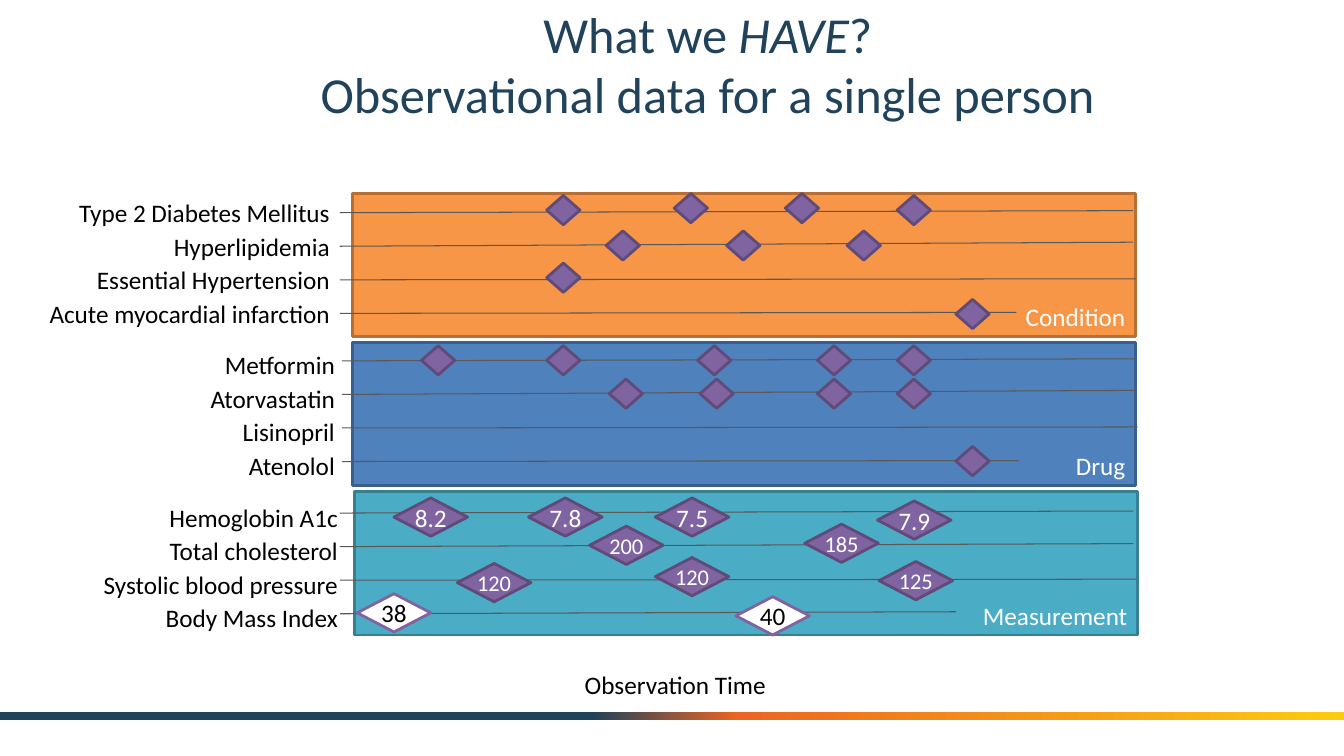
from copy import deepcopy
from dataclasses import dataclass

from lxml import etree
from pptx import Presentation
from pptx import util as u
from pptx.dml.color import RGBColor
from pptx.enum import shapes, text
from pptx.oxml.ns import qn

WIDTH, HEIGHT = 13.33, 7.5
ALIGN, ANCHOR = text.PP_ALIGN, text.MSO_ANCHOR


@dataclass(frozen=True)
class Theme:
    """Colours, fonts and sizes of the slide."""
    font: str = "Calibri"
    navy: str = "20425A"
    ink: str = "000000"
    white: str = "FFFFFF"
    guide: str = "595959"
    violet: str = "8064A2"
    violet_edge: str = "5F4A78"
    bar: tuple = ((44, "20425A"), (55, "EB6622"), (100, "FCCB10"))
    title_size: float = 36
    body_size: float = 18
    small_size: float = 16
    edge: float = 2
    guide_width: float = 0.75


THEME = Theme()
SMALL, WIDE = (0.33, 0.29), (0.73, 0.38)
ROW = 0.333
LABEL_WIDTH, LABEL_HEIGHT = 3.04, 0.4

# Each track: label, guide end (% of band), guide rise, marks as (x %, y %, value).
BANDS = [
    dict(name="Condition", colors=("F79646", "B76F34"), left=3.5,
         label=(-3.17, -0.01), guide=(-0.13, 0.19), tracks=[
             ("Type 2 Diabetes Mellitus", 99.7, 0.02,
              [(26.9, 11.6, ""), (43.2, 10.2, ""), (57.4, 10.2, ""), (71.7, 11.6, "")]),
             ("Hyperlipidemia", 99.7, 0.04,
              [(34.5, 36.3, ""), (49.9, 36.3, ""), (65.3, 36.3, "")]),
             ("Essential Hypertension", 100.1, 0.01, [(26.9, 58.8, "")]),
             ("Acute myocardial infarction", 84.8, 0.01, [(79.2, 84.2, "")])]),
    dict(name="Drug", colors=("4F81BD", "3A5F8C"), left=3.5,
         label=(-3.12, 0.02), guide=(-0.11, 0.18), tracks=[
             ("Metformin", 100, 0.02,
              [(x, 12.3, "") for x in (10.9, 26.9, 46.2, 61.5, 71.7)]),
             ("Atorvastatin", 100, 0.04,
              [(x, 35.6, "") for x in (34.9, 46.5, 61.5, 71.7)]),
             ("Lisinopril", 100.3, 0.01, []),
             ("Atenolol", 85.1, 0.01, [(79.2, 82.7, "")])]),
    dict(name="Measurement", colors=("4BACC6", "377F92"), left=3.52,
         label=(-3.11, 0.05), guide=(-0.15, 0.21), tracks=[
             ("Hemoglobin A1c", 99.5, 0.02,
              [(9.7, 17.6, "8.2"), (26.9, 17.6, "7.8"), (43.1, 17.6, "7.5"),
               (71.5, 19.7, "7.9")]),
             ("Total cholesterol", 99.5, 0.03,
              [(34.7, 37.3, "200"), (62.2, 35.9, "185")]),
             ("Systolic blood pressure", 99.9, 0.01,
              [(17.8, 63.4, "120"), (43.1, 59.2, "120"), (71.7, 62, "125")]),
             ("Body Mass Index", 76.8, 0.02,
              [(5, 84.5, "38"), (53.4, 86.6, "40")])]),
]


def rgb(value):
    """Return a colour object for a hex value."""
    return RGBColor.from_string(value)


def style_font(font, color, size):
    """Apply the theme font with a colour and size."""
    for key, value in dict(name=THEME.font, size=u.Pt(size)).items():
        setattr(font, key, value)
    font.color.rgb = rgb(color)


def write(shape, words, color, size, align, **frame_format):
    """Write one formatted paragraph into a shape."""
    frame = shape.text_frame
    for key, value in dict(word_wrap=True, **frame_format).items():
        setattr(frame, key, value)
    paragraph = frame.paragraphs[0]
    paragraph.alignment = align
    run = paragraph.add_run()
    run.text = words
    style_font(run.font, color, size)


def add_label(slide, box, words, align):
    """Add a one-line label in a box."""
    label = slide.shapes.add_textbox(*map(u.Inches, box))
    write(label, words, THEME.ink, THEME.body_size, align)


def add_outlined(slide, kind, box, fill, edge):
    """Add a filled preset shape with an outline."""
    shape = slide.shapes.add_shape(kind, *map(u.Inches, box))
    shape.shadow.inherit = False
    shape.fill.solid()
    shape.fill.fore_color.rgb = rgb(fill)
    shape.line.color.rgb = rgb(edge)
    shape.line.width = u.Pt(THEME.edge)
    return shape


def add_guide(slide, start, end):
    """Draw one thin track line."""
    guide = slide.shapes.add_connector(
        shapes.MSO_CONNECTOR.STRAIGHT, *map(u.Inches, (*start, *end)))
    guide.line.color.rgb = rgb(THEME.guide)
    guide.line.width = u.Pt(THEME.guide_width)
    etree.SubElement(guide._element.spPr, qn("a:effectLst"))


def add_mark(slide, center, value, hollow):
    """Draw an event diamond, wide when it carries a value."""
    width, height = WIDE if value else SMALL
    box = (center[0] - width / 2, center[1] - height / 2, width, height)
    fill, edge, ink = ((THEME.white, THEME.violet, THEME.ink) if hollow
                       else (THEME.violet, THEME.violet_edge, THEME.white))
    mark = add_outlined(slide, shapes.MSO_SHAPE.DIAMOND, box, fill, edge)
    if value:
        size = THEME.small_size if len(value) == 3 and value.isdigit() else THEME.body_size
        write(mark, value, ink, size, ALIGN.CENTER, vertical_anchor=ANCHOR.MIDDLE,
              margin_left=0, margin_right=0, margin_top=0, margin_bottom=0)


def add_band(slide, box, band):
    """Build a band with its labels, guides and event marks."""
    left, top, width, height = box
    panel = add_outlined(slide, shapes.MSO_SHAPE.RECTANGLE, box, *band["colors"])
    write(panel, band["name"], THEME.white, THEME.body_size, ALIGN.RIGHT,
          vertical_anchor=ANCHOR.BOTTOM)
    label_x, label_y = band["label"]
    guide_x, guide_y = band["guide"]
    for row, (name, end, rise, _) in enumerate(band["tracks"]):
        row_top = top + row * ROW
        add_label(slide, (left + label_x, row_top + label_y, LABEL_WIDTH, LABEL_HEIGHT),
                  name, ALIGN.RIGHT)
        add_guide(slide, (left + guide_x, row_top + guide_y),
                  (left + width * end / 100, row_top + guide_y - rise))
    for name, _, _, marks in band["tracks"]:
        for x, y, value in marks:
            add_mark(slide, (left + width * x / 100, top + height * y / 100),
                     value, name == "Body Mass Index")


def add_title(slide, box):
    """Place and fill the two-line title."""
    title = slide.shapes.title
    for key, value in zip(("left", "top", "width", "height"), box):
        setattr(title, key, u.Inches(value))
    frame = title.text_frame
    for key, value in dict(word_wrap=True, auto_size=text.MSO_AUTO_SIZE.NONE,
                           vertical_anchor=ANCHOR.MIDDLE).items():
        setattr(frame, key, value)
    heading = frame.paragraphs[0]
    heading.alignment = ALIGN.CENTER
    for words, italic in (("What we ", False), ("HAVE", True),
                          ("?\vObservational data for a single person", False)):
        for index, piece in enumerate(words.split("\v")):
            if index:
                heading.add_line_break()
            run = heading.add_run()
            run.text = piece
            style_font(run.font, THEME.navy, THEME.title_size)
            run.font.italic = italic


def add_footer_bar(slide, box):
    """Draw the gradient bar along the foot of the slide."""
    bar = slide.shapes.add_shape(shapes.MSO_SHAPE.RECTANGLE, *map(u.Inches, box))
    bar.shadow.inherit = False
    bar.line.fill.background()
    bar.fill.gradient()
    bar.fill.gradient_angle = 0
    stops = bar._element.spPr.find(".//" + qn("a:gsLst"))
    stops.append(deepcopy(stops[-1]))
    for stop, (position, color) in zip(bar.fill.gradient_stops, THEME.bar):
        stop.position = position / 100
        stop.color.rgb = rgb(color)


def main():
    """Build and save the slide."""
    deck = Presentation()
    deck.slide_width, deck.slide_height = u.Inches(WIDTH), u.Inches(HEIGHT)
    slide = deck.slides.add_slide(deck.slide_layouts[5])
    add_footer_bar(slide, (0, 7.06, WIDTH, 0.08))
    add_title(slide, (1.37, 0.17, 11.3, 0.92))
    for index, band in enumerate(BANDS):
        add_band(slide, (band["left"], 1.92 + 1.48 * index, 7.76, 1.42), band)
    add_label(slide, (5.7, 6.59, 3.05, LABEL_HEIGHT), "Observation Time", ALIGN.LEFT)
    deck.save("out.pptx")


if __name__ == "__main__":
    main()
